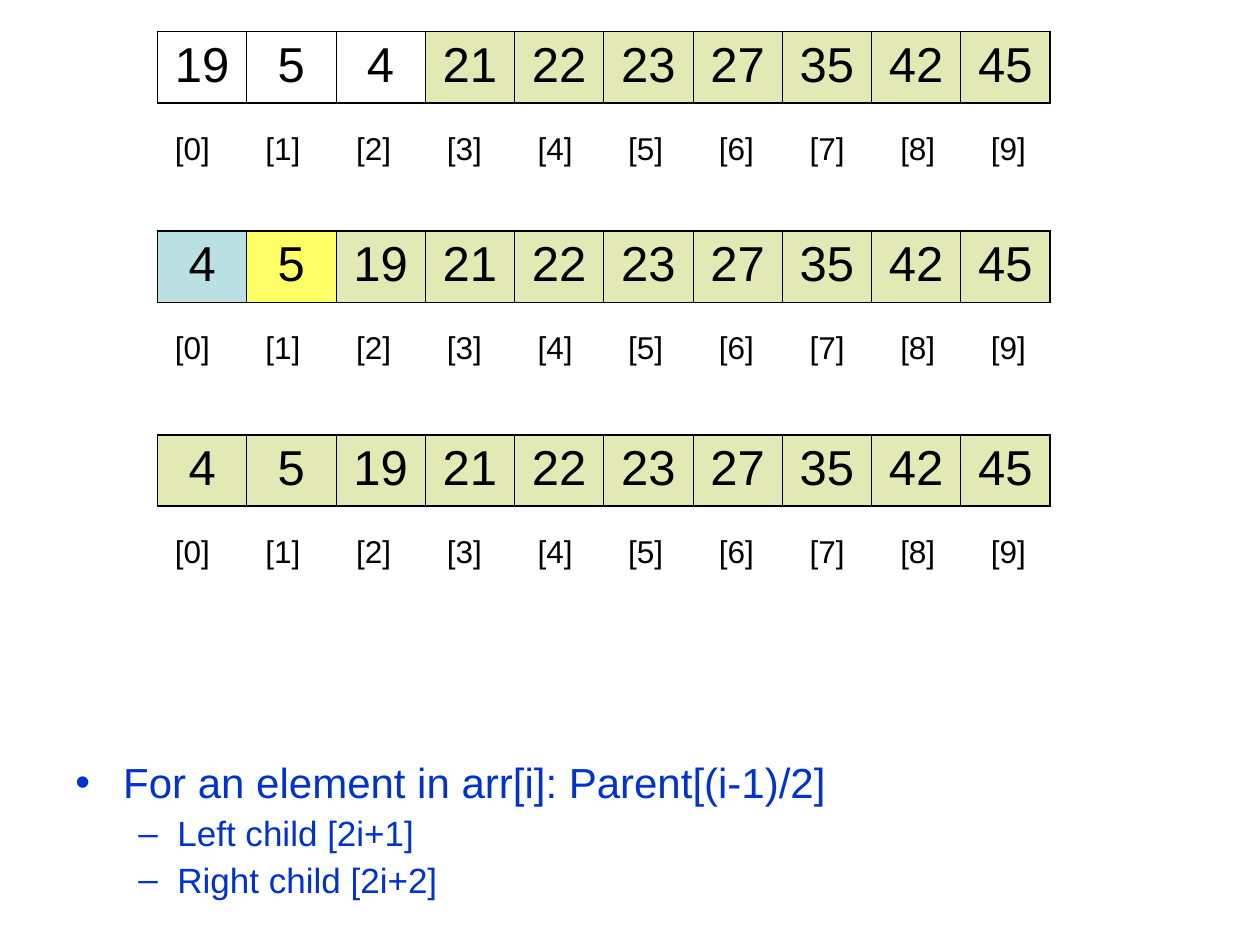
from lxml.etree import SubElement
from pptx import Presentation
from pptx.dml.color import RGBColor
from pptx.enum.text import MSO_ANCHOR, PP_ALIGN
from pptx.oxml.ns import qn
from pptx.util import Inches, Pt

BLACK, BLUE = "000000", "0033CC"
SORTED, ROOT, LAST = "E2E9B5", "BBE0E3", "FFFF66"
THIN, THICK = 0.45, 1.08


def colour(value):
    return RGBColor.from_string(value)


class HeapPage:
    font = "Arial"
    columns, rows = 120, 90
    levels = [
        {"size": 24, "bullet": "•", "margin": 0.38, "indent": -0.38, "before": 6},
        {"size": 20, "bullet": "–", "margin": 0.81, "indent": -0.31, "before": 5},
    ]

    def __init__(self, deck):
        self.deck = deck
        self.page = deck.slides.add_slide(deck.slide_layouts[6])

    def place(self, left, top, width, height):
        across = self.deck.slide_width / self.columns
        down = self.deck.slide_height / self.rows
        return [round(n) for n in (left * across, top * down, width * across, height * down)]

    def add_text(self, para, text, size, ink):
        span = para.add_run()
        span.text = text
        look = {"name": self.font, "size": Pt(size)}
        for name, value in look.items():
            setattr(span.font, name, value)
        span.font.color.rgb = colour(ink)

    def border(self, cell, sides):
        properties = cell._tc.get_or_add_tcPr()
        for side, width in sides.items():
            line = SubElement(properties, qn(f"a:ln{side}"), w=str(Pt(width)))
            if width:
                fill = SubElement(line, qn("a:solidFill"))
                SubElement(fill, qn("a:srgbClr"), val=BLACK)
            else:
                SubElement(line, qn("a:noFill"))

    def strip(self, texts, area, size, before, anchor, fills=None):
        count = len(texts)
        left, top, width, height = self.place(*area)
        table = self.page.shapes.add_table(1, count, left, top, width, height).table
        for name in ("first_row", "horz_banding"):
            setattr(table, name, False)
        for index, text in enumerate(texts):
            table.columns[index].width = round(width / count)
            cell = table.cell(0, index)
            cell.vertical_anchor = anchor
            sides = {
                "L": THIN if index else THICK,
                "R": THIN if index < count - 1 else THICK,
                "T": THICK,
                "B": THICK,
            }
            self.border(cell, sides if fills else dict.fromkeys(sides, 0))
            if fills and fills[index]:
                cell.fill.solid()
                cell.fill.fore_color.rgb = colour(fills[index])
            else:
                cell.fill.background()
            para = cell.text_frame.paragraphs[0]
            para.alignment = PP_ALIGN.CENTER
            para.space_before = Pt(before)
            self.add_text(para, text, size, BLACK)

    def array(self, top, values, fills):
        self.strip([str(v) for v in values], (15, top, 85, 6.8), 28, 7, MSO_ANCHOR.TOP, fills)
        labels = [f"[{i}]" for i in range(len(values))]
        self.strip(labels, (14, top + 8.8, 86.4, 4.8), 18, 4.5, MSO_ANCHOR.MIDDLE)

    def bullets(self, items, area):
        box = self.page.shapes.add_textbox(*self.place(*area))
        frame = box.text_frame
        frame.word_wrap = True
        for index, (level, text) in enumerate(items):
            para = frame.add_paragraph() if index else frame.paragraphs[0]
            style = self.levels[level]
            spacing = {"level": level, "line_spacing": 0.9, "space_before": Pt(style["before"])}
            for name, value in spacing.items():
                setattr(para, name, value)
            properties = para._p.get_or_add_pPr()
            properties.set("marL", str(Inches(style["margin"])))
            properties.set("indent", str(Inches(style["indent"])))
            ink = SubElement(properties, qn("a:buClr"))
            SubElement(ink, qn("a:srgbClr"), val=BLUE)
            SubElement(properties, qn("a:buFont"), typeface=self.font)
            SubElement(properties, qn("a:buChar"), char=style["bullet"])
            self.add_text(para, text, style["size"], BLUE)


def main():
    deck = Presentation()
    deck.slide_width, deck.slide_height = Inches(10), Inches(7.5)
    heap = HeapPage(deck)
    tail = [21, 22, 23, 27, 35, 42, 45]
    steps = [
        (3, [19, 5, 4], [None] * 3),
        (22, [4, 5, 19], [ROOT, LAST, SORTED]),
        (41.4, [4, 5, 19], [SORTED] * 3),
    ]
    for top, head, fills in steps:
        heap.array(top, head + tail, fills + [SORTED] * len(tail))
    rules = [
        (0, "For an element in arr[i]: Parent[(i-1)/2]"),
        (1, "Left child [2i+1]"),
        (1, "Right child [2i+2]"),
    ]
    heap.bullets(rules, (6, 72, 108, 15))
    deck.save("out.pptx")


if __name__ == "__main__":
    main()
